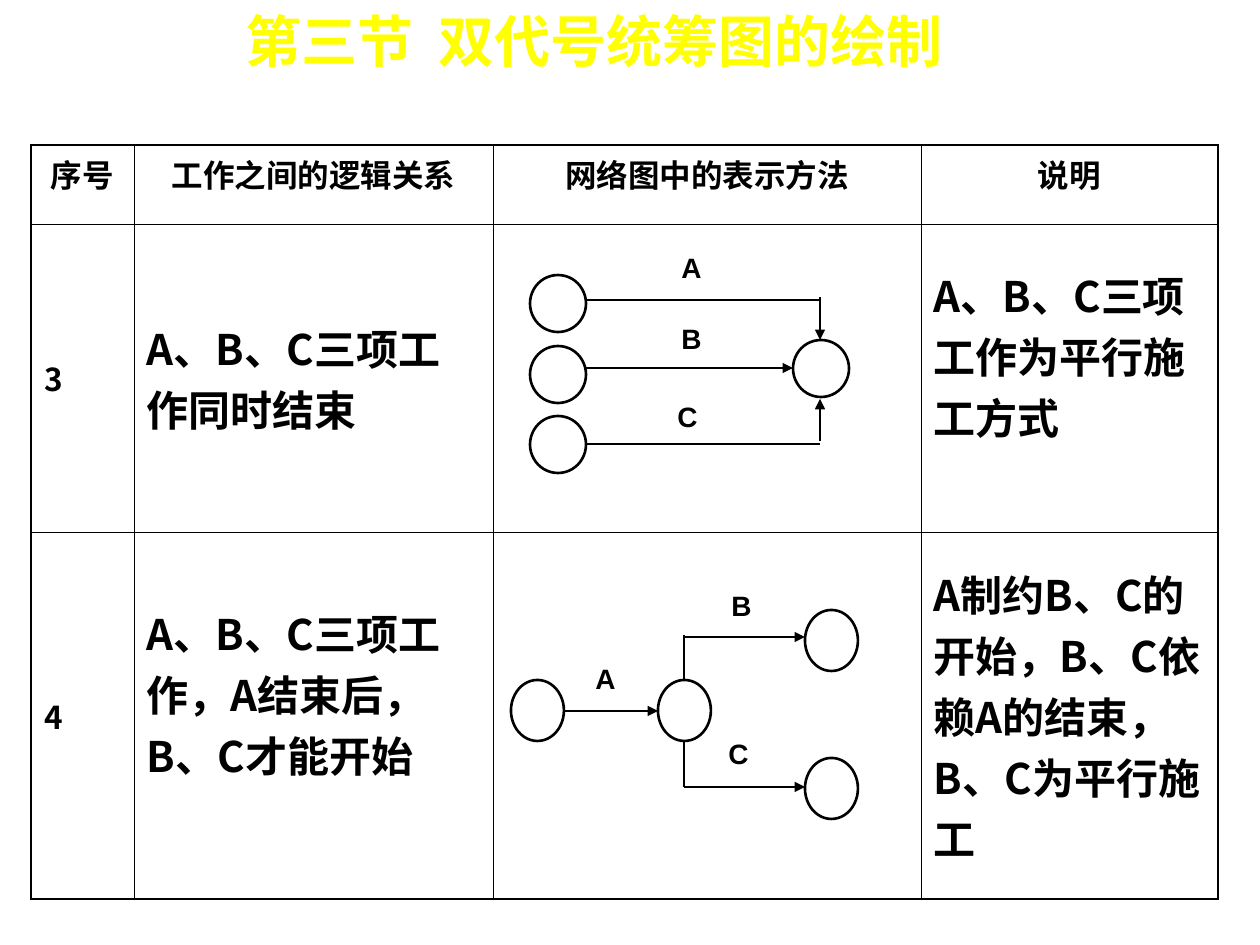
from lxml import etree
from pptx import Presentation
from pptx.dml.color import RGBColor
from pptx.enum.shapes import MSO_CONNECTOR as Connector, MSO_SHAPE as Shape
from pptx.enum.text import MSO_ANCHOR as Anchor, MSO_AUTO_SIZE as AutoSize, PP_ALIGN as Align
from pptx.oxml import parse_xml
from pptx.oxml.ns import nsdecls, qn
from pptx.util import Pt

PX = 914400 / 126
BLACK = RGBColor(0x00, 0x00, 0x00)
YELLOW = RGBColor(0xFF, 0xFF, 0x00)
CJK_FONT = "Noto Sans CJK SC"


def px(*lengths):
    return [round(length * PX) for length in lengths]


def add_span(para, text, size, font, color):
    span = para.add_run()
    span.text = text
    span.font.size = Pt(size)
    span.font.bold = True
    span.font.color.rgb = color
    span.font.name = font
    etree.SubElement(span._r.rPr, qn("a:ea")).set("typeface", font)
    return span


deck = Presentation()
deck.slide_width, deck.slide_height = px(1260, 945)
page = deck.slides.add_slide(deck.slide_layouts[6])

# Table: column widths, row heights, wording
col_widths = [103, 359, 428, 297]
row_heights = [79, 308, 367]
rows = [
    ["序号", "工作之间的逻辑关系", "网络图中的表示方法", "说明"],
    ["3", "A、B、C三项工作同时结束", "", "A、B、C三项工作为平行施工方式"],
    ["4", "A、B、C三项工作，A结束后，B、C才能开始", "",
     "A制约B、C的开始，B、C依赖A的结束，B、C为平行施工"],
]
raised_cells = {(1, 3), (2, 1)}
table = page.shapes.add_table(
    3, 4, *px(31, 145, sum(col_widths), sum(row_heights))).table
table.first_row = False
table.horz_banding = False
for column, width in zip(table.columns, px(*col_widths)):
    column.width = width
for row, height in zip(table.rows, px(*row_heights)):
    row.height = height

for r, texts in enumerate(rows):
    for c, text in enumerate(texts):
        cell = table.cell(r, c)
        cell.fill.background()
        cell.margin_left, cell.margin_right, cell.margin_top = px(13, 13, 6)
        cell.margin_bottom = px(51 if (r, c) in raised_cells else 6)[0]
        cell.vertical_anchor = Anchor.MIDDLE if r else Anchor.TOP
        if text:
            para = cell.text_frame.paragraphs[0]
            para.alignment = Align.LEFT if r else Align.CENTER
            add_span(para, text, 24 if r and c else 18, CJK_FONT, BLACK)
        # Heavier rule on the outer frame
        outer_sides = {"L": c == 0, "R": c == 3, "T": r == 0, "B": r == 2}
        for place, (side, outer) in enumerate(outer_sides.items()):
            width = Pt(1.08 if outer else 0.45)
            cell._tc.get_or_add_tcPr().insert(place, parse_xml(
                f'<a:ln{side} {nsdecls("a")} w="{width}"><a:solidFill>'
                f'<a:srgbClr val="{BLACK}"/></a:solidFill></a:ln{side}>'))

# Event circles: left, top, width, height
finish_nodes = [(530, top, 56, 57) for top in (275, 346, 416)] + [(793, 340, 56, 57)]
start_nodes = [(left, top, 53, 61) for left, top in
               ((511, 680), (658, 680), (805, 610), (805, 758))]
for node in finish_nodes + start_nodes:
    circle = page.shapes.add_shape(Shape.OVAL, *px(*node))
    circle.shadow.inherit = False
    circle.fill.background()
    circle.line.color.rgb = BLACK
    circle.line.width = Pt(1.5)

# Activity lines: start x, start y, end x, end y, arrowhead
activities = [
    (586, 368, 793, 368, True),
    (586, 300, 820, 300, False),
    (820, 297, 820, 340, True),
    (586, 444, 820, 444, False),
    (820, 441, 820, 399, True),
    (564, 711, 658, 711, True),
    (684, 680, 684, 635, False),
    (684, 637, 805, 637, True),
    (684, 741, 684, 787, False),
    (684, 787, 805, 787, True),
]
for *ends, has_arrow in activities:
    line = page.shapes.add_connector(Connector.STRAIGHT, *px(*ends))
    line.line.color.rgb = BLACK
    line.line.width = Pt(1.5)
    if has_arrow:
        etree.SubElement(line.line._get_or_add_ln(), qn("a:tailEnd")).set("type", "triangle")
    etree.SubElement(line._element.spPr, qn("a:effectLst"))

# Activity letters: text, left, top, width
labels = [
    ("A", 669, 244, 55), ("B", 669, 315, 55), ("C", 665, 393, 55),
    ("A", 583, 655, 67), ("B", 719, 582, 67), ("C", 716, 730, 67),
]
for letter, left, top, width in labels:
    box = page.shapes.add_textbox(*px(left, top, width, 47))
    box.text_frame.word_wrap = True
    box.text_frame.auto_size = AutoSize.SHAPE_TO_FIT_TEXT
    add_span(box.text_frame.paragraphs[0], letter, 16, "Arial", BLACK)

# Title with a text shadow and a widened space
title = page.shapes.add_textbox(*px(233, 0, 895, 80))
title.text_frame.word_wrap = True
title.text_frame.auto_size = AutoSize.SHAPE_TO_FIT_TEXT
for text in ("第三节", " ", "双代号统筹图的绘制"):
    span = add_span(title.text_frame.paragraphs[0], text, 32, CJK_FONT, YELLOW)
    if text == " ":
        span._r.rPr.set("spc", "700")
    span._r.rPr.find(qn("a:solidFill")).addnext(parse_xml(
        f'<a:effectLst {nsdecls("a")}><a:outerShdw dist="38100" dir="2700000">'
        f'<a:srgbClr val="{BLACK}"/></a:outerShdw></a:effectLst>'))

deck.save("out.pptx")
